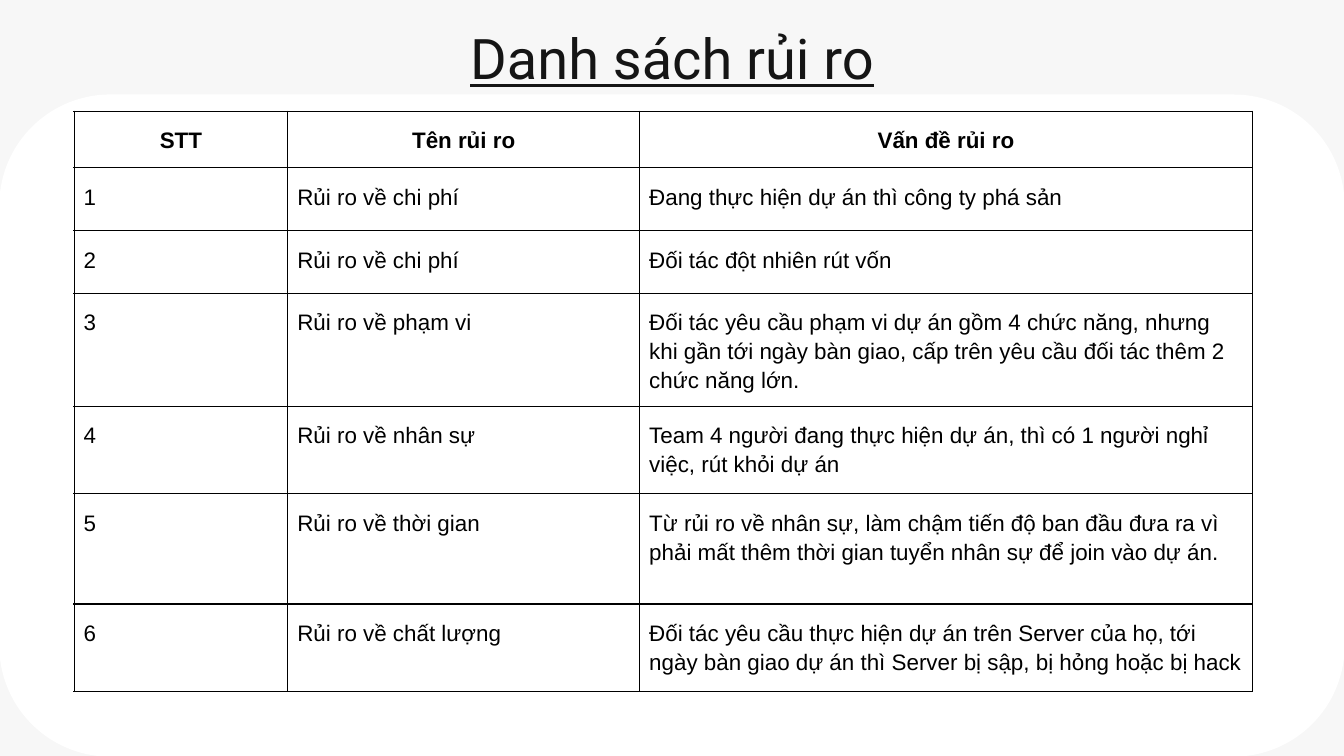
from typing import NamedTuple

from lxml import etree
from pptx import Presentation
from pptx.dml.color import RGBColor
from pptx.enum.shapes import MSO_SHAPE
from pptx.enum.text import MSO_ANCHOR, MSO_AUTO_SIZE, PP_ALIGN
from pptx.oxml.ns import qn
from pptx.util import Cm, Pt

ROUNDED = MSO_SHAPE.ROUNDED_RECTANGLE
TOP = MSO_ANCHOR.TOP
LEFT, CENTER = PP_ALIGN.LEFT, PP_ALIGN.CENTER
NO_AUTOSIZE = MSO_AUTO_SIZE.NONE
TITLE_ONLY = 5
BORDER_SIDES = ("a:lnL", "a:lnR", "a:lnT", "a:lnB")
BORDER_WIDTH = Pt(0.67)
COLUMN_WIDTHS = (4.04, 6.65, 11.58)
CELL_FORMAT = {
    "margin_left": Cm(0.18),
    "margin_right": Cm(0.18),
    "margin_top": Cm(0.25),
    "margin_bottom": Cm(0.25),
    "vertical_anchor": TOP,
}
TITLE_FRAME_FORMAT = {
    "margin_left": Cm(0.25),
    "margin_right": Cm(0.25),
    "margin_top": Cm(0.25),
    "margin_bottom": Cm(0.25),
    "vertical_anchor": TOP,
    "word_wrap": True,
    "auto_size": NO_AUTOSIZE,
}
TITLE_FONT = {"name": "Roboto", "size": Pt(30), "underline": True, "bold": False}


class RiskRow(NamedTuple):
    height: float
    number: str
    name: str
    problem: str


HEADER = RiskRow(1.07, "STT", "Tên rủi ro", "Vấn đề rủi ro")
RISKS = (
    RiskRow(1.19, "1", "Rủi ro về chi phí", "Đang thực hiện dự án thì công ty phá sản"),
    RiskRow(1.19, "2", "Rủi ro về chi phí", "Đối tác đột nhiên rút vốn"),
    RiskRow(2.08, "3", "Rủi ro về phạm vi",
            "Đối tác yêu cầu phạm vi dự án gồm 4 chức năng, nhưng khi gần tới "
            "ngày bàn giao, cấp trên yêu cầu đối tác thêm 2 chức năng lớn."),
    RiskRow(1.65, "4", "Rủi ro về nhân sự",
            "Team 4 người đang thực hiện dự án, thì có 1 người nghỉ việc, rút khỏi dự án"),
    RiskRow(2.08, "5", "Rủi ro về thời gian",
            "Từ rủi ro về nhân sự, làm chậm tiến độ ban đầu đưa ra vì phải mất "
            "thêm thời gian tuyển nhân sự để join vào dự án."),
    RiskRow(1.65, "6", "Rủi ro về chất lượng",
            "Đối tác yêu cầu thực hiện dự án trên Server của họ, tới ngày bàn "
            "giao dự án thì Server bị sập, bị hỏng hoặc bị hack"),
)


def color(value: str) -> RGBColor:
    return RGBColor.from_string(value)


def apply_format(target, values: dict) -> None:
    for name, value in values.items():
        setattr(target, name, value)


def write_text(para, text: str, font: dict, ink: str, alignment) -> None:
    para.alignment = alignment
    span = para.add_run()
    span.text = text
    apply_format(span.font, font)
    span.font.color.rgb = color(ink)


def add_borders(cell, ink: str) -> None:
    properties = cell._tc.get_or_add_tcPr()
    for position, side in enumerate(BORDER_SIDES):
        line = etree.Element(qn(side), w=str(BORDER_WIDTH))
        fill = etree.SubElement(line, qn("a:solidFill"))
        etree.SubElement(fill, qn("a:srgbClr"), val=ink)
        properties.insert(position, line)


def fill_cell(cell, text: str, is_header: bool) -> None:
    apply_format(cell, CELL_FORMAT)
    cell.fill.background()
    add_borders(cell, "000000")
    para = cell.text_frame.paragraphs[0]
    para.line_spacing = 1.15
    font = {"name": "Arial", "size": Pt(12), "bold": is_header}
    write_text(para, text, font, "000000", CENTER if is_header else LEFT)


def add_panel(page) -> None:
    panel = page.shapes.add_shape(ROUNDED, Cm(0), Cm(1.8), Cm(25.4), Cm(12.49))
    panel.adjustments[0] = 0.167
    panel.shadow.inherit = False
    panel.fill.solid()
    panel.fill.fore_color.rgb = color("FFFFFF")
    panel.line.color.rgb = color("FFFFFF")
    panel.line.width = Pt(0.75)


def format_title(page, text: str) -> None:
    title = page.shapes.title
    apply_format(title, {"left": Cm(2), "top": Cm(0.2), "width": Cm(21.41), "height": Cm(1.6)})
    apply_format(title.text_frame, TITLE_FRAME_FORMAT)
    write_text(title.text_frame.paragraphs[0], text, TITLE_FONT, "151515", CENTER)


def add_risk_table(page, rows: tuple[RiskRow, ...]) -> None:
    frame = page.shapes.add_table(
        len(rows), len(COLUMN_WIDTHS), Cm(1.4), Cm(2.1),
        Cm(sum(COLUMN_WIDTHS)), Cm(sum(row.height for row in rows)),
    )
    table = frame.table
    apply_format(table, {"first_row": False, "horz_banding": False})
    for column, width in zip(table.columns, COLUMN_WIDTHS):
        column.width = Cm(width)
    for table_row, risk in zip(table.rows, rows):
        table_row.height = Cm(risk.height)
        for cell, text in zip(table_row.cells, risk[1:]):
            fill_cell(cell, text, risk is HEADER)


def main() -> None:
    deck = Presentation()
    deck.slide_width, deck.slide_height = Cm(25.4), Cm(14.29)
    page = deck.slides.add_slide(deck.slide_layouts[TITLE_ONLY])
    page.background.fill.solid()
    page.background.fill.fore_color.rgb = color("F7F7F7")
    add_panel(page)
    format_title(page, "Danh sách rủi ro")
    add_risk_table(page, (HEADER, *RISKS))
    deck.save("out.pptx")


if __name__ == "__main__":
    main()
